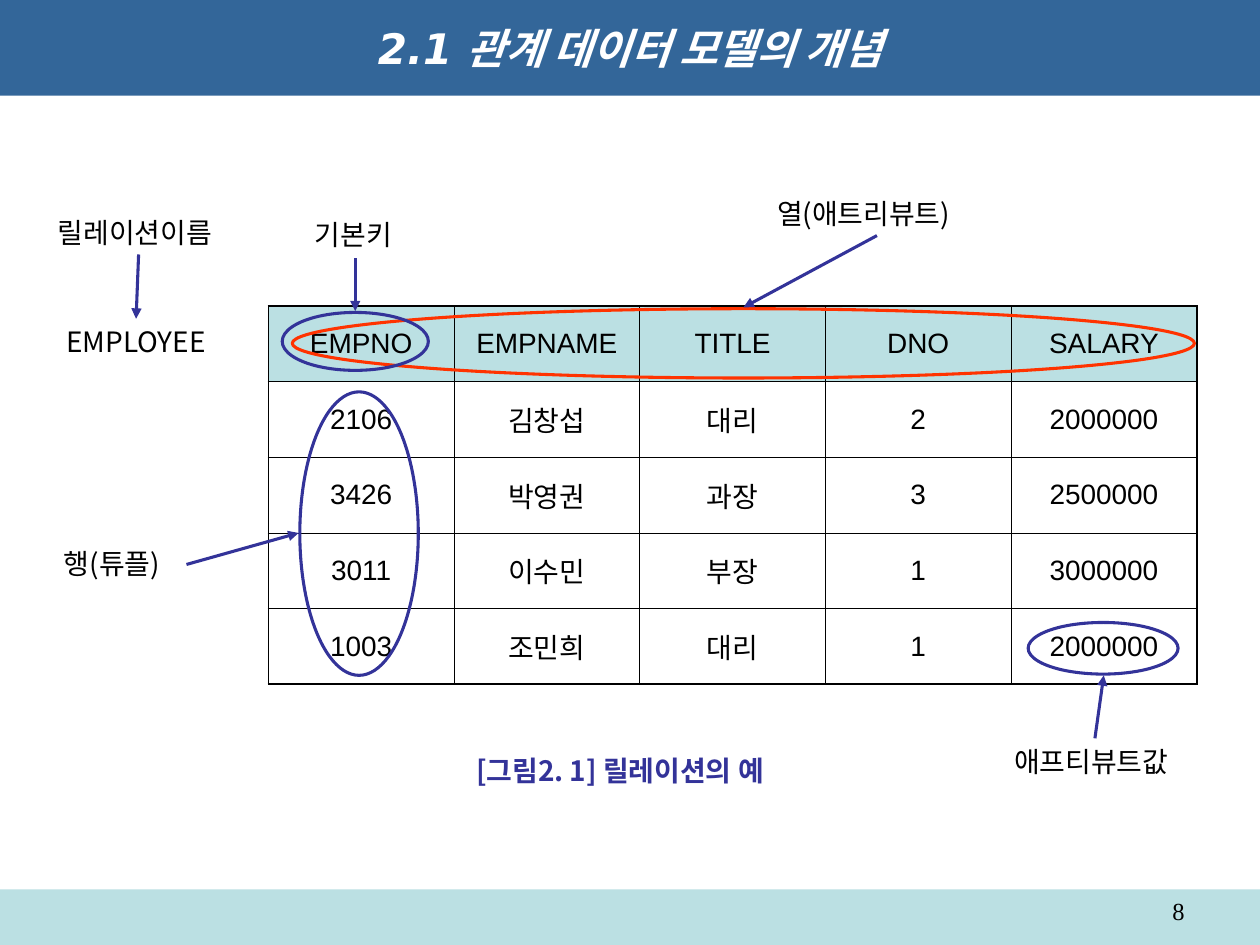
from lxml.etree import SubElement
from pptx import Presentation
from pptx.dml.color import RGBColor
from pptx.enum.shapes import MSO_CONNECTOR, MSO_SHAPE
from pptx.enum.text import MSO_ANCHOR, MSO_AUTO_SIZE, PP_ALIGN
from pptx.oxml import parse_xml
from pptx.oxml.ns import nsdecls, qn
from pptx.util import Inches, Pt

NAVY, RED, PALE, BLACK = "333399", "FF3300", "BBE0E3", "000000"
SANS = "Noto Sans CJK JP"


def color(code):
    return RGBColor.from_string(code)


def write(frame, text, size=16, font=SANS, asian=SANS, ink=BLACK,
          bold=False, italic=False, align=PP_ALIGN.LEFT):
    para = frame.paragraphs[0]
    para.alignment = align
    run = para.add_run()
    run.text = text
    run.font.size = Pt(size)
    run.font.bold = bold
    run.font.italic = italic
    run.font.color.rgb = color(ink)
    run.font.name = font
    SubElement(run._r.get_or_add_rPr(), qn("a:ea"), typeface=asian)


deck = Presentation()
deck.slide_width, deck.slide_height = Inches(10), Inches(7.5)
slide = deck.slides.add_slide(deck.slide_layouts[5])
shapes = slide.shapes

title = shapes.title
title.left, title.top = Inches(0), Inches(0)
title.width, title.height = Inches(10), Inches(0.76)
title.fill.solid()
title.fill.fore_color.rgb = color("336699")
title.text_frame.auto_size = MSO_AUTO_SIZE.NONE
title.text_frame.vertical_anchor = MSO_ANCHOR.MIDDLE
write(title.text_frame, "2.1 관계 데이터 모델의 개념", size=24, font="DejaVu Sans",
      ink="FFFFFF", bold=True, italic=True, align=PP_ALIGN.CENTER)

band = shapes.add_shape(MSO_SHAPE.RECTANGLE, Inches(0), Inches(7.06), Inches(10), Inches(0.44))
band.shadow.inherit = False
band.fill.solid()
band.fill.fore_color.rgb = color(PALE)
band.line.fill.background()

page = shapes.add_textbox(Inches(7.17), Inches(7.06), Inches(2.33), Inches(0.29))
page.text_frame.word_wrap = True
write(page.text_frame, "8", size=14, font="Times New Roman", align=PP_ALIGN.RIGHT)

rows = [
    ["EMPNO", "EMPNAME", "TITLE", "DNO", "SALARY"],
    ["2106", "김창섭", "대리", "2", "2000000"],
    ["3426", "박영권", "과장", "3", "2500000"],
    ["3011", "이수민", "부장", "1", "3000000"],
    ["1003", "조민희", "대리", "1", "2000000"],
]
last = len(rows) - 1
table = shapes.add_table(5, 5, Inches(2.13), Inches(2.43), Inches(7.37), Inches(3)).table
table.horz_banding = False
for r, row in enumerate(rows):
    for c, text in enumerate(row):
        cell = table.cell(r, c)
        cell.vertical_anchor = MSO_ANCHOR.MIDDLE
        write(cell.text_frame, text, font="Arial", align=PP_ALIGN.CENTER)
        edges = {"L": c == 0, "R": c == last, "T": r == 0, "B": r == last}
        for side, outer in edges.items():
            width = Pt(1.08 if outer else 0.45)
            cell._tc.get_or_add_tcPr().append(parse_xml(
                f'<a:ln{side} {nsdecls("a")} w="{width}"><a:solidFill>'
                f'<a:srgbClr val="{BLACK}"/></a:solidFill></a:ln{side}>'))
        if r == 0:
            cell.fill.solid()
            cell.fill.fore_color.rgb = color(PALE)
        else:
            cell.fill.background()

labels = [
    ("릴레이션이름", 0.36, 1.66, 1.48),
    ("기본키", 2.4, 1.68, 0.84),
    ("열(애트리뷰트)", 6.07, 1.51, 1.77),
    ("행(튜플)", 0.41, 4.29, 1.13),
    ("애프티뷰트값", 7.95, 5.86, 1.48),
    ("EMPLOYEE", 0.43, 2.53, 1.32),
]
for text, x, y, w in labels:
    label = shapes.add_textbox(Inches(x), Inches(y), Inches(w), Inches(0.37))
    label.text_frame.word_wrap = False
    label.text_frame.auto_size = MSO_AUTO_SIZE.SHAPE_TO_FIT_TEXT
    write(label.text_frame, text)

rings = [
    (8.16, 4.94, 1.19, 0.41, NAVY),
    (2.38, 3.11, 0.94, 2.25, NAVY),
    (2.32, 2.45, 7.16, 0.55, RED),
    (2.24, 2.48, 1.16, 0.46, NAVY),
]
for *box, ink in rings:
    ring = shapes.add_shape(MSO_SHAPE.OVAL, *map(Inches, box))
    ring.shadow.inherit = False
    ring.fill.background()
    ring.line.color.rgb = color(ink)
    ring.line.width = Pt(1.75)

arrows = [
    (1.48, 4.48, 2.37, 4.23),
    (8.69, 5.86, 8.76, 5.36),
    (6.96, 1.87, 5.9, 2.44),
    (2.82, 2.05, 2.82, 2.47),
    (1.1, 2.02, 1.08, 2.53),
]
for ends in arrows:
    arrow = shapes.add_connector(MSO_CONNECTOR.STRAIGHT, *map(Inches, ends))
    arrow.line.color.rgb = color(NAVY)
    arrow.line.width = Pt(1.75)
    SubElement(arrow.line._get_or_add_ln(), qn("a:tailEnd"), type="triangle")
    SubElement(arrow._element.spPr, qn("a:effectLst"))

note = shapes.add_textbox(Inches(3.68), Inches(5.93), Inches(2.81), Inches(0.37))
note.text_frame.word_wrap = True
note.text_frame.auto_size = MSO_AUTO_SIZE.SHAPE_TO_FIT_TEXT
write(note.text_frame, "[그림2. 1] 릴레이션의 예", font="Noto Sans CJK KR",
      asian="Noto Sans CJK KR", ink=NAVY, bold=True, align=PP_ALIGN.JUSTIFY)

deck.save("out.pptx")
